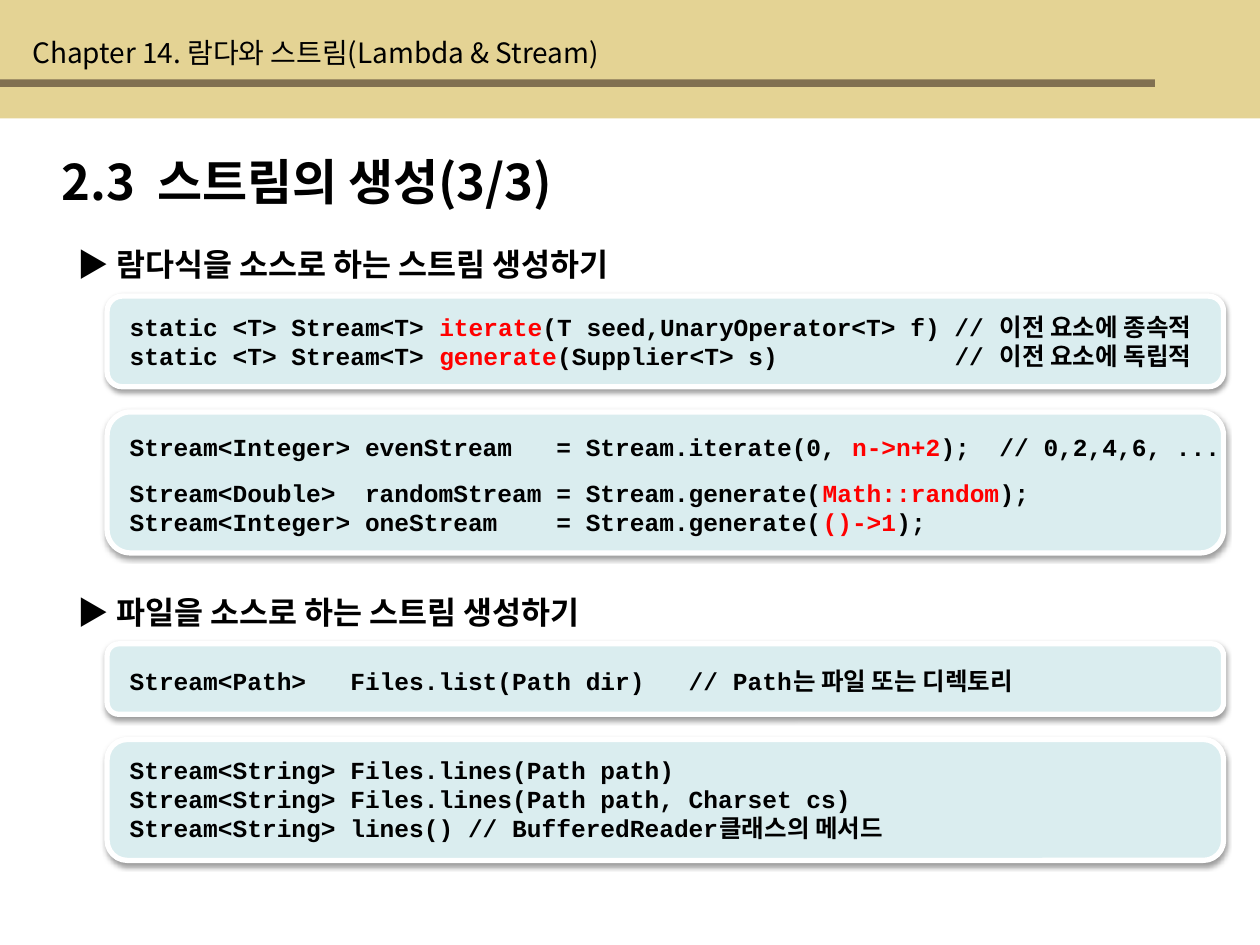
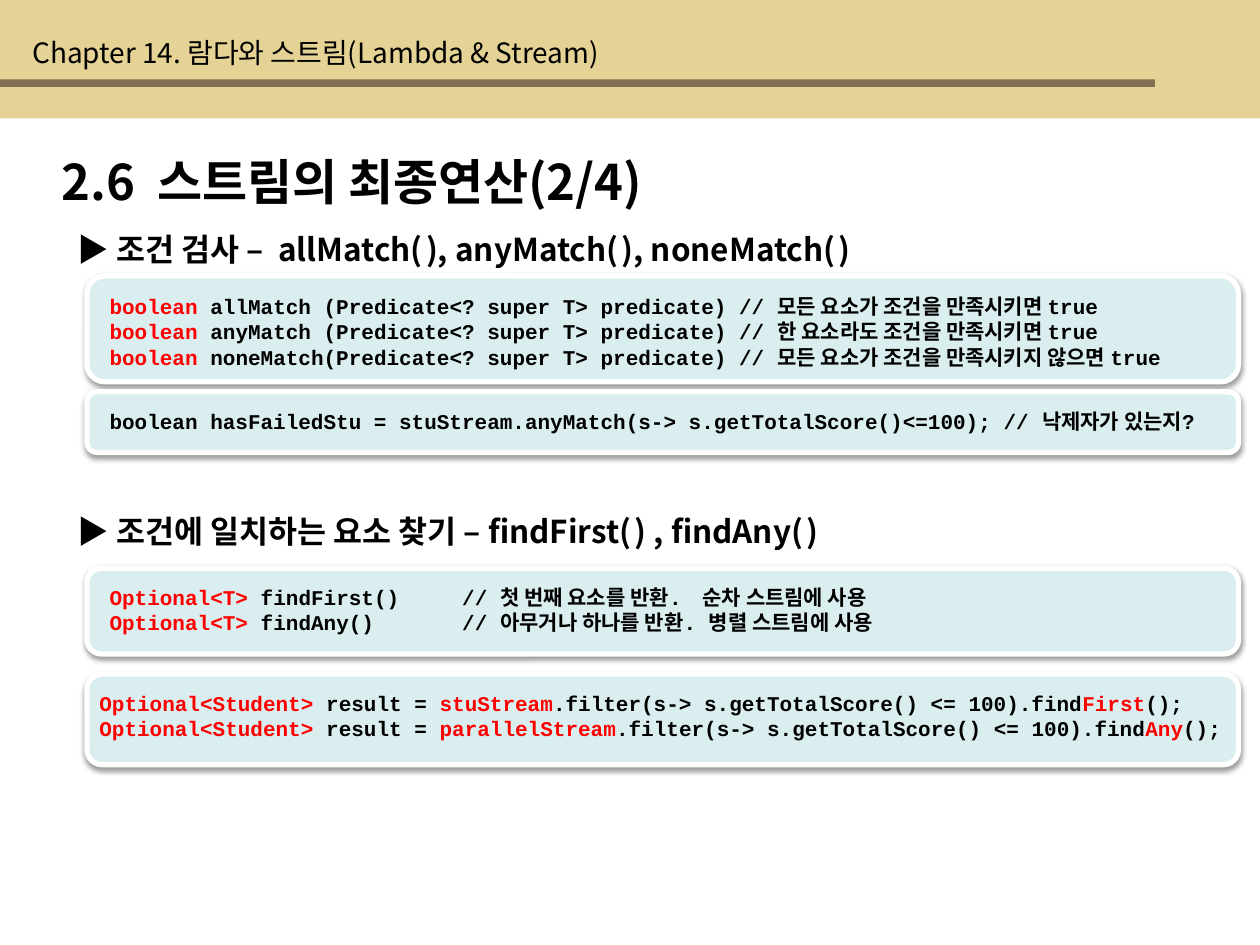
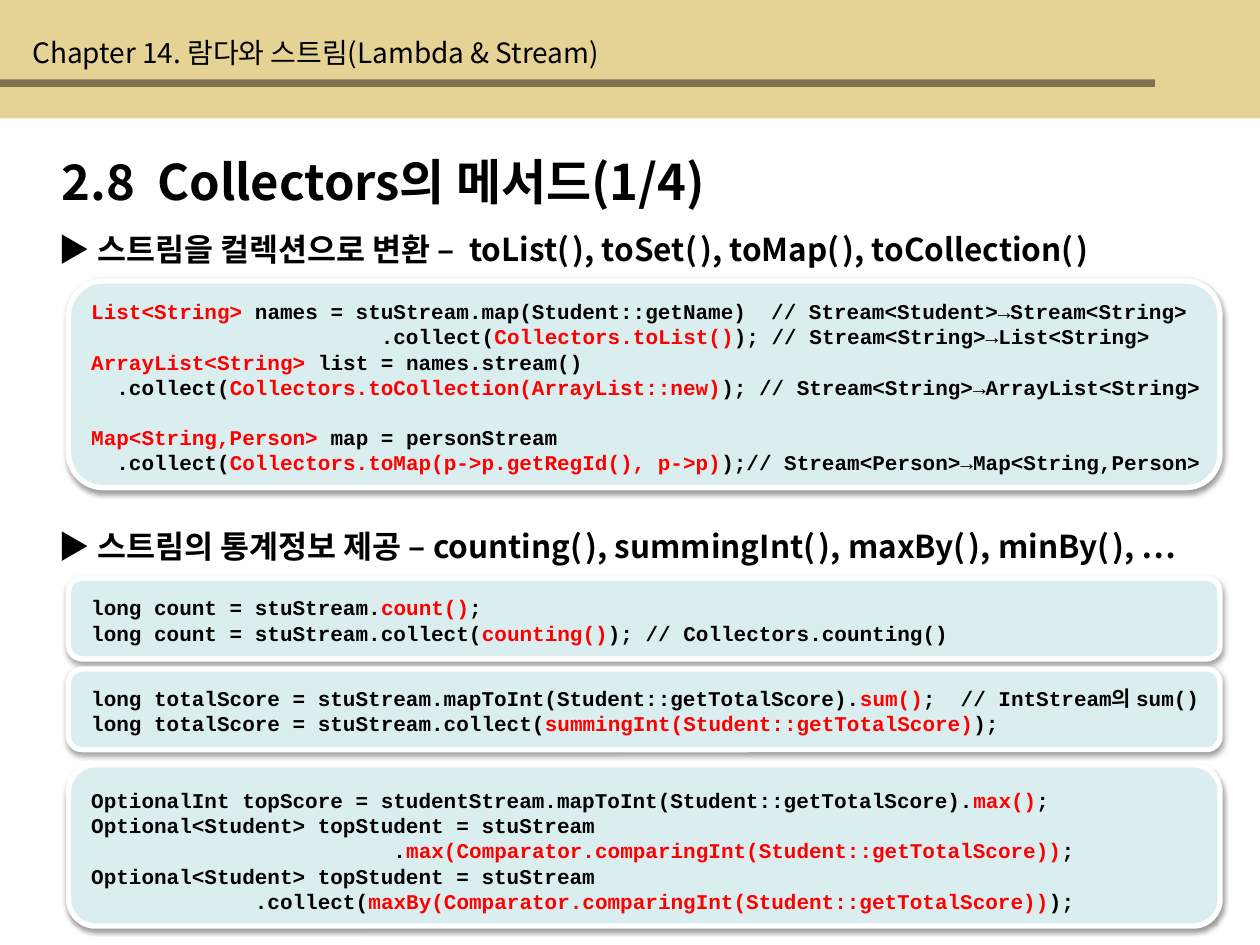
from dataclasses import dataclass

from lxml.etree import SubElement
from pptx import Presentation
from pptx.dml.color import RGBColor
from pptx.enum.shapes import MSO_SHAPE as Preset
from pptx.enum.text import MSO_ANCHOR as Anchor
from pptx.oxml.ns import qn
from pptx.util import Pt

SLIDE_W, SLIDE_H = 720, 540
SAND, BROWN, PALE_BLUE = "E4D394", "817051", "DAEDEF"
WHITE, BLACK, RED = "FFFFFF", "000000", "FF0000"
KOREAN_FONT, CODE_FONT = "Noto Sans CJK KR", "Courier New"
TITLE_PITCH, CODE_PITCH = 1.3, 1.2  # line height per point of type
NARROW = 8  # size of the thin space written as ^
CHAPTER = "Chapter 14. 람다와 스트림(Lambda & Stream)"


@dataclass
class Panel:
    top: float
    height: float
    drop: float  # from the bottom of the code to the bottom of the panel
    lines: list
    inset: float = 5.8
    gap_line: int = 0  # line with a gap above it
    gap: float = 0


def color(hex_string):
    return RGBColor.from_string(hex_string)


def box_of(left, top, width, height):
    return Pt(left), Pt(top), Pt(width), Pt(height)


def add_block(slide, preset, box, fill):
    block = slide.shapes.add_shape(preset, *box_of(*box))
    block.shadow.inherit = False
    block.fill.solid()
    block.fill.fore_color.rgb = color(fill)
    block.line.fill.background()
    return block


def add_marked_runs(paragraph, marked):
    """Write text in which {..} is red and ^ is a thin space."""
    red = False
    for part in marked.replace("{", "|{").replace("}", "|}").replace("^", "|^|").split("|"):
        if part[:1] in ("{", "}"):
            red = part[0] == "{"
            part = part[1:]
        if not part:
            continue
        run = paragraph.add_run()
        run.text = part.replace("^", " ")
        if part == "^":
            run.font.size = Pt(NARROW)
        if red:
            run.font.color.rgb = color(RED)


def add_text(slide, box, lines, size, font=KOREAN_FONT, bold=True,
             pitch=TITLE_PITCH, anchor=Anchor.TOP, hanging=0):
    frame = slide.shapes.add_textbox(*box_of(*box)).text_frame
    frame.word_wrap = True
    frame.vertical_anchor = anchor
    for number, line in enumerate(lines):
        paragraph = frame.add_paragraph() if number else frame.paragraphs[0]
        paragraph.line_spacing = Pt(size * pitch)
        if hanging:
            properties = paragraph._p.get_or_add_pPr()
            properties.set("marL", str(Pt(hanging)))
            properties.set("indent", str(-Pt(hanging)))
        paragraph.font.size = Pt(size)
        paragraph.font.bold = bold
        paragraph.font.color.rgb = color(BLACK)
        paragraph.font.name = font
        SubElement(paragraph.font._element, qn("a:ea"), typeface=KOREAN_FONT)
        add_marked_runs(paragraph, line)
    return frame


def add_soft_shadow(shape):
    effects = shape._element.spPr.find(qn("a:effectLst"))
    shadow = SubElement(effects, qn("a:outerShdw"), blurRad=str(Pt(3.1)),
                        dist=str(Pt(1.6)), dir="5400000", rotWithShape="0")
    tint = SubElement(shadow, qn("a:srgbClr"), val=BLACK)
    SubElement(tint, qn("a:alpha"), val="38000")


def add_header(slide, title):
    # Band with rule, then section title and chapter name
    add_block(slide, Preset.RECTANGLE, (0, 0, SLIDE_W, 67.7), SAND)
    add_block(slide, Preset.RECTANGLE, (0, 45.4, 660, 4.3), BROWN)
    add_text(slide, (28, 80, 675, 41), [title], 28)
    add_text(slide, (11.5, 15.1, 448, 26.6), [CHAPTER], 16, bold=False)


def add_heading(slide, left, top, heading):
    add_text(slide, (left, top, SLIDE_W - left, 29), ["▶ " + heading], 18, hanging=20.9)


def add_panel(slide, left, width, size, panel):
    card = add_block(slide, Preset.ROUNDED_RECTANGLE,
                     (left, panel.top, width, panel.height), PALE_BLUE)
    card.line.color.rgb = color(WHITE)
    card.line.width = Pt(3)
    add_soft_shadow(card)
    # Code stands on the bottom edge of its box
    height = len(panel.lines) * size * CODE_PITCH + panel.gap + 7.2
    top = panel.top + panel.height - panel.drop - height
    code = add_text(slide, (left + panel.inset, top, width + 5.8, height), panel.lines,
                    size, CODE_FONT, pitch=CODE_PITCH, anchor=Anchor.BOTTOM)
    if panel.gap:
        code.paragraphs[panel.gap_line].space_before = Pt(panel.gap)


def add_code_slide(deck, title, heading_left, headings, left, width, size, panels):
    slide = deck.slides.add_slide(deck.slide_layouts[6])
    add_header(slide, title)
    for top, heading in headings:
        add_heading(slide, heading_left, top, heading)
    for panel in panels:
        add_panel(slide, left, width, size, panel)


def add_creation(deck):
    headings = [(134.6, "람다식을 소스로 하는 스트림 생성하기"),
                (333.4, "파일을 소스로 하는 스트림 생성하기")]
    panels = [
        Panel(169.2, 51.8, 5.8, [
            "static <T> Stream<T> {iterate}(T seed,UnaryOperator<T> f) // 이전 요소에 종속적",
            "static <T> Stream<T> {generate}(Supplier<T> s)            // 이전 요소에 독립적"]),
        Panel(235.4, 80.6, 5.8, [
            "Stream<Integer> evenStream   = Stream.iterate(0, {n->n+2});  // 0,2,4,6, ...",
            "Stream<Double>  randomStream = Stream.generate({Math::random});",
            "Stream<Integer> oneStream    = Stream.generate({()->1});"],
            gap_line=1, gap=9.6),
        Panel(367.9, 40.3, 7.2, [
            "Stream<Path>   Files.list(Path dir)   // Path는 파일 또는 디렉토리"]),
        Panel(422.6, 69.1, 6.5, [
            "Stream<String> Files.lines(Path path)",
            "Stream<String> Files.lines(Path path, Charset cs)",
            "Stream<String> lines() // BufferedReader클래스의 메서드"]),
    ]
    add_code_slide(deck, "2.3  스트림의 생성(3/3)", 37.4, headings, 61.2, 638, 14, panels)


def add_terminal_operations(deck):
    headings = [(126, "조건 검사 –  allMatch(^), anyMatch(^), noneMatch(^)"),
                (287.3, "조건에 일치하는 요소 찾기 – findFirst(^) , findAny(^)")]
    panels = [
        Panel(157.7, 60.5, 3.6, [
            "{boolean }allMatch (Predicate<? super T> predicate) // 모든 요소가 조건을 만족시키면 true",
            "{boolean }anyMatch (Predicate<? super T> predicate) // 한 요소라도 조건을 만족시키면 true",
            "{boolean }noneMatch(Predicate<? super T> predicate) // 모든 요소가 조건을 만족시키지 않으면 true"]),
        Panel(223.9, 34.6, 7.2, [
            "boolean hasFailedStu = stuStream.anyMatch(s-> s.getTotalScore()<=100); // 낙제자가 있는지?"]),
        Panel(385.2, 51.8, 10.1, [
            "{Optional<Student>} result = {stuStream}.filter(s-> s.getTotalScore() <= 100).find{First}();",
            "{Optional<Student> }result = {parallelStream}.filter(s-> s.getTotalScore() <= 100).find{Any}();"],
            inset=0),
        Panel(324.7, 49, 7.2, [
            "{Optional<T> }findFirst()     // 첫 번째 요소를 반환. ^순차 스트림에 사용",
            "{Optional<T> }findAny()       // 아무거나 하나를 반환. 병렬 스트림에 사용"]),
    ]
    add_code_slide(deck, "2.6  스트림의 최종연산(2/4)", 37.4, headings, 49.7, 658, 12, panels)


def add_collectors(deck):
    headings = [(126, "스트림을 컬렉션으로 변환 –  toList(^), toSet(^), toMap(^), toCollection(^)"),
                (295.9, "스트림의 통계정보 제공 – counting(^), summingInt(^), maxBy(^), minBy(^), …")]
    panels = [
        Panel(160.6, 118.1, 3.6, [
            "{List<String>} names = stuStream.map(Student::getName)  // Stream<Student>→Stream<String>",
            "                       .collect({Collectors.toList()}); // Stream<String>→List<String>",
            "{ArrayList<String>} list = names.stream()",
            "  .collect({Collectors.toCollection(ArrayList::new)}); // Stream<String>→ArrayList<String>",
            "{Map<String,Person> }map = personStream",
            "  .collect({Collectors.toMap(p->p.getRegId(), p->p)});// Stream<Person>→Map<String,Person>"],
            gap_line=4, gap=14.4),
        Panel(330.5, 46.1, 4.3, [
            "long count = stuStream.{count()};",
            "long count = stuStream.collect({counting()}); // Collectors.counting()"]),
        Panel(382.3, 46.1, 4.3, [
            "long totalScore = stuStream.mapToInt(Student::getTotalScore).{sum()};  // IntStream의 sum()",
            "long totalScore = stuStream.collect({summingInt(Student::getTotalScore)});"]),
        Panel(437, 92.2, 3.6, [
            "OptionalInt topScore = studentStream.mapToInt(Student::getTotalScore).{max()};",
            "Optional<Student> topStudent = stuStream",
            "                        .{max(Comparator.comparingInt(Student::getTotalScore))};",
            "Optional<Student> topStudent = stuStream",
            "             .collect({maxBy(Comparator.comparingInt(Student::getTotalScore))});"]),
    ]
    add_code_slide(deck, "2.8  Collectors의 메서드(1/4)", 26.6, headings, 39.2, 658, 12, panels)


def main():
    deck = Presentation()
    deck.slide_width, deck.slide_height = Pt(SLIDE_W), Pt(SLIDE_H)
    add_creation(deck)
    add_terminal_operations(deck)
    add_collectors(deck)
    deck.save("out.pptx")


if __name__ == "__main__":
    main()
